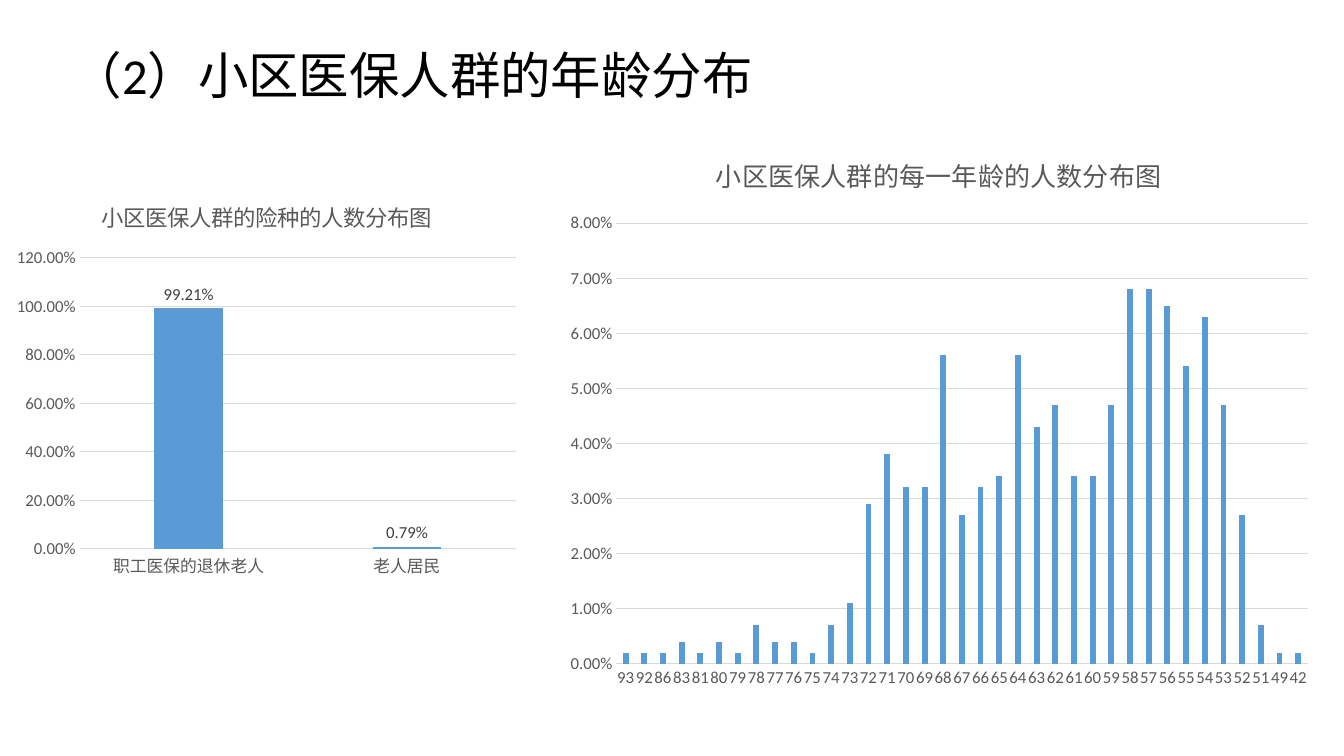
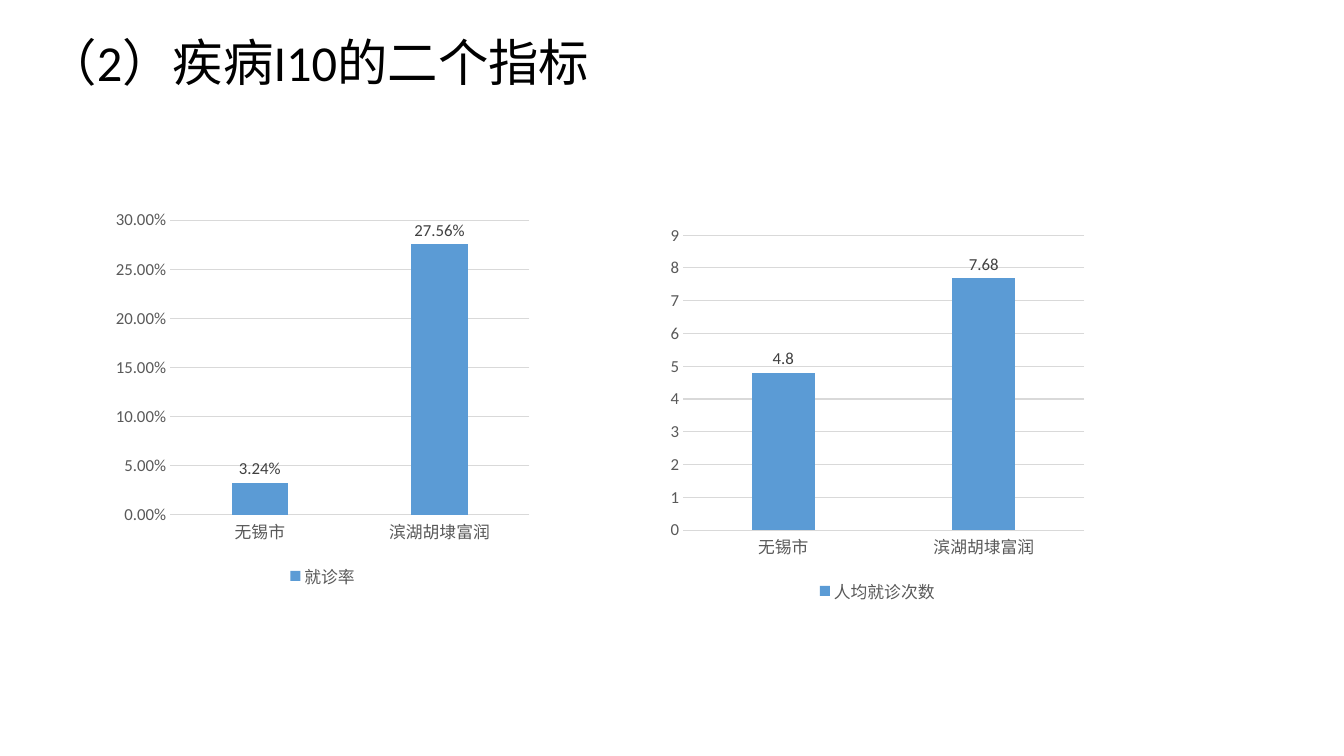
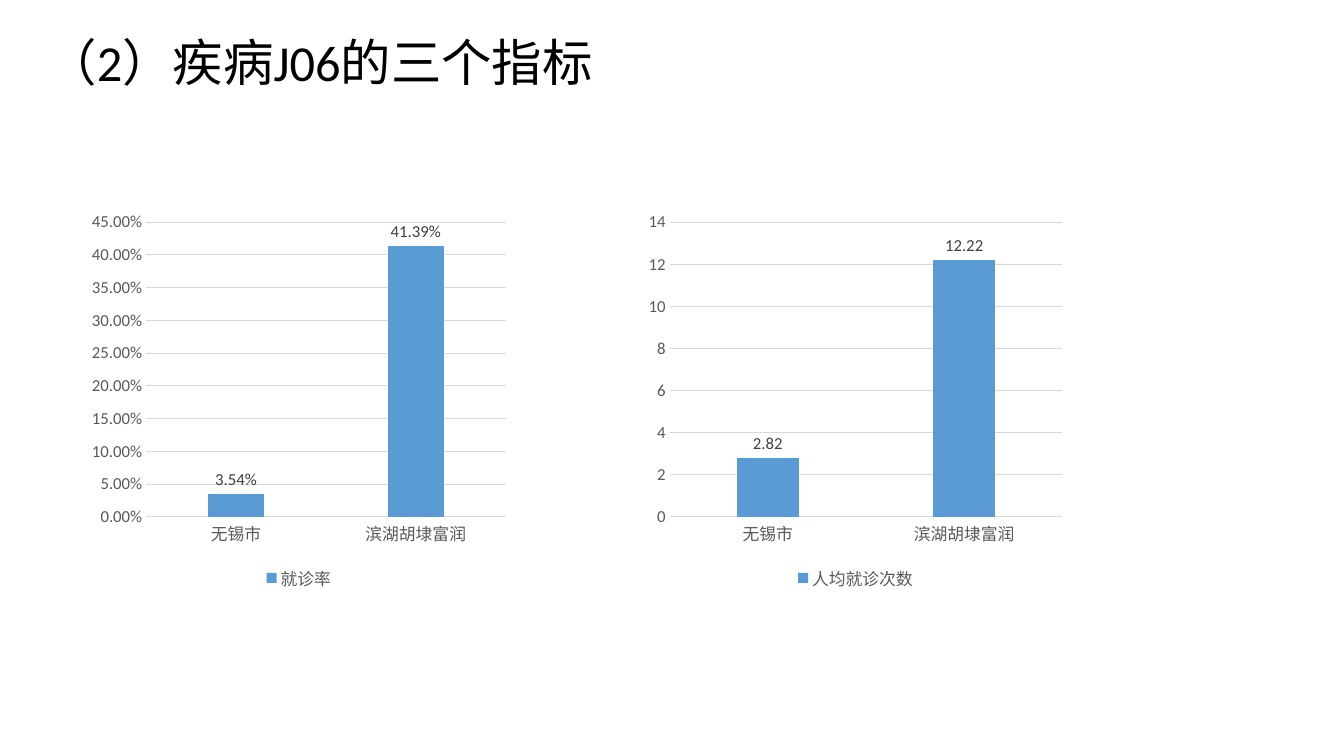
from pptx import Presentation
from pptx.chart.data import CategoryChartData
from pptx.dml.color import RGBColor
from pptx.enum.chart import XL_CHART_TYPE, XL_LABEL_POSITION, XL_LEGEND_POSITION, XL_TICK_MARK
from pptx.enum.text import MSO_ANCHOR
from pptx.util import Cm, Pt

COLUMNS = XL_CHART_TYPE.COLUMN_CLUSTERED
OUTSIDE_END = XL_LABEL_POSITION.OUTSIDE_END
BOTTOM = XL_LEGEND_POSITION.BOTTOM
NO_TICK = XL_TICK_MARK.NONE
MIDDLE = MSO_ANCHOR.MIDDLE

FONT = "Calibri"
BLACK, BLUE = "000000", "5B9BD5"
GREY, DARK_GREY, LIGHT_GREY = "595959", "404040", "D9D9D9"
PERCENT, GENERAL = "0.00%", "General"

# Boxes in cm: left, top, width, height
HEADING_BOX = (0.92, 0.34, 20.85, 2.59)
INDICATOR_SIZE = (10.86, 9.83)

REGIONS = ["无锡市", "滨湖胡埭富润"]
INSURANCE_TYPES = ["职工医保的退休老人", "老人居民"]
AGES = [str(age) for age in (93, 92, 86, 83, *range(81, 50, -1), 49, 42)]
AGE_SHARES = [
    0.002, 0.002, 0.002, 0.004, 0.002, 0.004, 0.002, 0.007,
    0.004, 0.004, 0.002, 0.007, 0.011, 0.029, 0.038, 0.032,
    0.032, 0.056, 0.027, 0.032, 0.034, 0.056, 0.043, 0.047,
    0.034, 0.034, 0.047, 0.068, 0.068, 0.065, 0.054, 0.063,
    0.047, 0.027, 0.007, 0.002, 0.002,
]


def color(value):
    return RGBColor.from_string(value)


def style_font(font, size, shade):
    font.name = FONT
    font.size = Pt(size)
    font.bold = False
    font.color.rgb = color(shade)


def style_line(line):
    line.color.rgb = color(LIGHT_GREY)
    line.width = Pt(0.75)


def add_heading(page, box, text):
    frame = page.shapes.add_textbox(*map(Cm, box)).text_frame
    frame.word_wrap = True
    frame.vertical_anchor = MIDDLE
    frame.text = text
    para = frame.paragraphs[0]
    para.line_spacing = 0.9
    style_font(para.runs[0].font, 36, BLACK)


def style_axes(chart, number_format):
    categories, values = chart.category_axis, chart.value_axis
    for axis in (categories, values):
        axis.major_tick_mark = axis.minor_tick_mark = NO_TICK
        style_font(axis.tick_labels.font, 12, GREY)
    style_line(categories.format.line)
    # Keep the category labels level
    categories._element.txPr.bodyPr.set("rot", "-60000000")
    values.format.line.fill.background()
    values.has_major_gridlines = True
    style_line(values.major_gridlines.format.line)
    values.tick_labels.number_format = number_format
    values.tick_labels.number_format_is_linked = False


def add_columns(page, box, categories, values, number_format=PERCENT,
                name="Series 1", title=None, title_size=16, labels=True, legend=False):
    data = CategoryChartData(number_format=number_format)
    data.categories = categories
    data.add_series(name, values)
    chart = page.shapes.add_chart(COLUMNS, *map(Cm, box), data).chart
    style_font(chart.font, 10, BLACK)
    style_axes(chart, number_format)

    # Columns
    plot = chart.plots[0]
    plot.gap_width, plot.overlap, plot.vary_by_categories = 219, -27, False
    fill = plot.series[0].format.fill
    fill.solid()
    fill.fore_color.rgb = color(BLUE)
    if labels:
        tags = plot.series[0].data_labels
        tags.show_value = True
        tags.position = OUTSIDE_END
        tags.number_format = number_format
        tags.number_format_is_linked = False
        style_font(tags.font, 12, DARK_GREY)

    # Title and legend
    chart.has_title = title is not None
    if title:
        frame = chart.chart_title.text_frame
        frame.text = title
        style_font(frame.paragraphs[0].runs[0].font, title_size, GREY)
    chart.has_legend = legend
    if legend:
        chart.legend.position = BOTTOM
        chart.legend.include_in_layout = False
        style_font(chart.legend.font, 12, GREY)


def add_age_page(page):
    add_heading(page, (1.56, 0.97, 28.63, 2.01), "（2）小区医保人群的年龄分布")
    add_columns(page, (13.99, 3.32, 19.35, 14.29), AGES, AGE_SHARES, labels=False,
                title="小区医保人群的每一年龄的人数分布图", title_size=18.6)
    add_columns(page, (0.16, 4.57, 13.11, 10.2), INSURANCE_TYPES, [0.9921, 0.0079],
                title="小区医保人群的险种的人数分布图")


def add_indicator_page(page, heading, rates, rate_corner, visits, visit_corner):
    add_heading(page, HEADING_BOX, heading)
    add_columns(page, rate_corner + INDICATOR_SIZE, REGIONS, rates,
                name="就诊率", legend=True)
    add_columns(page, visit_corner + INDICATOR_SIZE, REGIONS, visits, GENERAL,
                name="人均就诊次数", legend=True)


def main():
    deck = Presentation()
    deck.slide_width, deck.slide_height = Cm(33.87), Cm(19.05)
    blank = deck.slide_layouts[6]
    add_age_page(deck.slides.add_slide(blank))
    add_indicator_page(deck.slides.add_slide(blank), "（2）疾病I10的二个指标",
                       [0.0324, 0.2756], (2.7, 5.1), [4.8, 7.68], (16.68, 5.48))
    add_indicator_page(deck.slides.add_slide(blank), "（2）疾病J06的三个指标",
                       [0.0354, 0.4139], (2.1, 5.15), [2.82, 12.22], (16.13, 5.15))
    deck.save("out.pptx")


if __name__ == "__main__":
    main()
